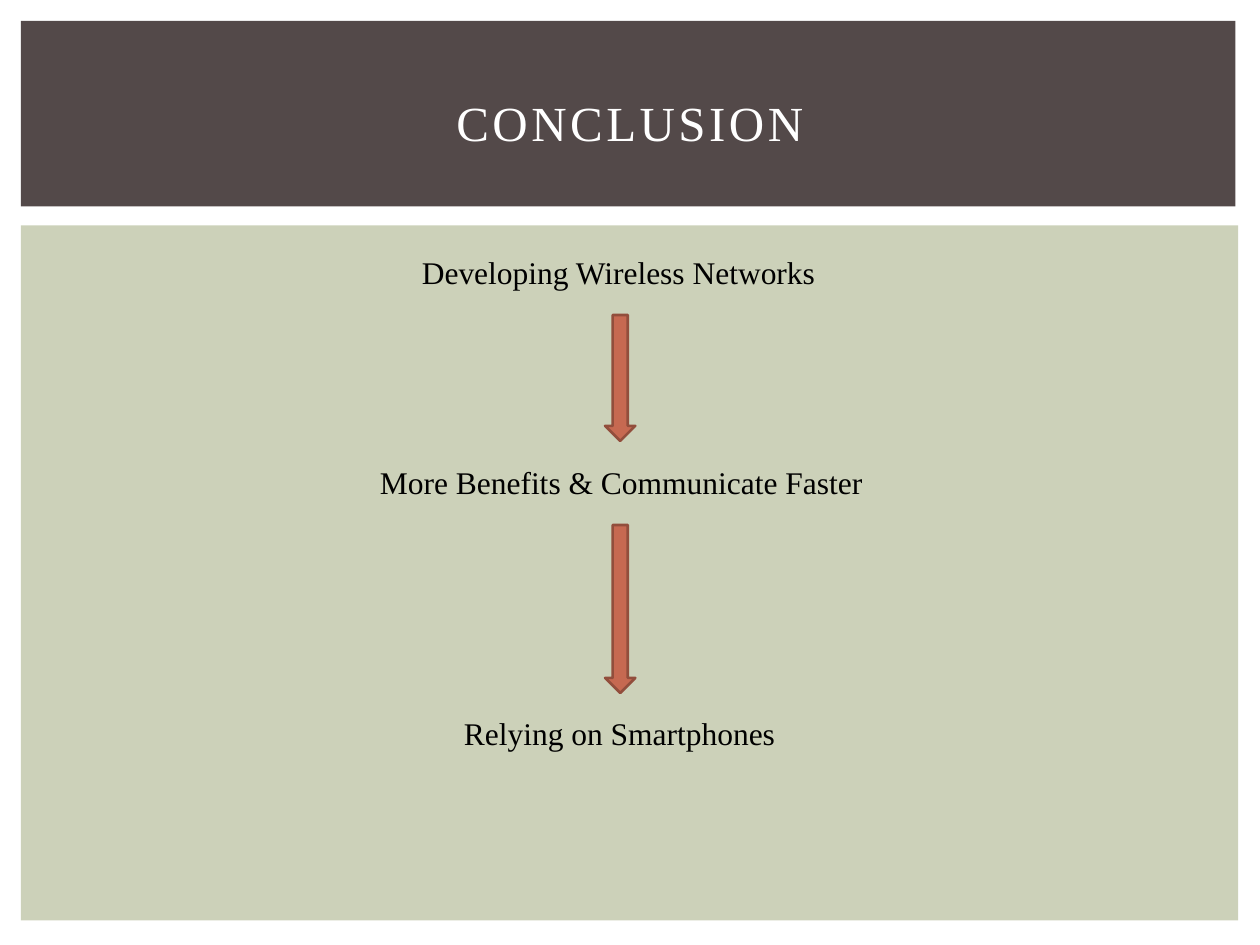
from dataclasses import dataclass

from pptx import Presentation
from pptx.dml.color import RGBColor
from pptx.enum import shapes, text
from pptx.util import Pt


@dataclass(frozen=True)
class Theme:
    font: str = "Times New Roman"
    title_size: int = 28
    step_size: int = 18
    banner: RGBColor = RGBColor(0x53, 0x49, 0x49)
    panel: RGBColor = RGBColor(0xCC, 0xD1, 0xB9)
    arrow: RGBColor = RGBColor(0xC6, 0x69, 0x51)
    arrow_edge: RGBColor = RGBColor(0x92, 0x4E, 0x3C)
    title_ink: RGBColor = RGBColor(0xFF, 0xFF, 0xFF)
    step_ink: RGBColor = RGBColor(0, 0, 0)


THEME = Theme()
ARROW_CENTER = 354.4
ARROW_WIDTH = 17.28


def add_run(paragraph, words, size, color):
    run = paragraph.add_run()
    run.text = words
    run.font.name = THEME.font
    run.font.size = Pt(size)
    run.font.color.rgb = color
    return run


def add_filled(slide, preset, left, top, width, height, color):
    block = slide.shapes.add_shape(
        preset, Pt(left), Pt(top), Pt(width), Pt(height))
    block.shadow.inherit = False
    block.fill.solid()
    block.fill.fore_color.rgb = color
    block.line.fill.background()
    return block


def set_title(slide, words):
    title = slide.shapes.title
    title.left, title.top = Pt(30), Pt(28)
    title.width, title.height = Pt(660), Pt(83)
    frame = title.text_frame
    frame.vertical_anchor = text.MSO_ANCHOR.MIDDLE
    heading = frame.paragraphs[0]
    heading.alignment = text.PP_ALIGN.CENTER
    run = add_run(heading, words, THEME.title_size, THEME.title_ink)
    run.font._element.set("spc", "200")  # letter spacing of 2 pt
    slide.shapes.element.append(title.element)  # bring above the banner


def add_step(slide, words, left, top, width):
    step = slide.shapes.add_textbox(Pt(left), Pt(top), Pt(width), Pt(29))
    frame = step.text_frame
    frame.word_wrap = True
    frame.auto_size = text.MSO_AUTO_SIZE.SHAPE_TO_FIT_TEXT
    add_run(frame.paragraphs[0], words, THEME.step_size, THEME.step_ink)


def add_down_arrow(slide, top, length):
    # A right arrow turned by 90 degrees around its centre
    arrow = add_filled(
        slide, shapes.MSO_SHAPE.RIGHT_ARROW,
        ARROW_CENTER - length / 2, top + (length - ARROW_WIDTH) / 2,
        length, ARROW_WIDTH, THEME.arrow)
    arrow.rotation = 90
    arrow.line.color.rgb = THEME.arrow_edge
    arrow.line.width = Pt(1.5)


def main():
    prs = Presentation()
    prs.slide_width, prs.slide_height = Pt(720), Pt(540)
    slide = prs.slides.add_slide(prs.slide_layouts[5])

    # Background panel and title banner
    rectangle = shapes.MSO_SHAPE.RECTANGLE
    add_filled(slide, rectangle, 12, 128.8, 695.5, 397.2, THEME.panel)
    add_filled(slide, rectangle, 12, 12, 694, 106, THEME.banner)
    set_title(slide, "CONCLUSION")

    # Chain of conclusions
    add_step(slide, "Developing Wireless Networks", 234, 141, 258)
    add_down_arrow(slide, 180, 72)
    add_step(slide, "More Benefits & Communicate Faster", 210, 261, 306)
    add_down_arrow(slide, 300, 96)
    add_step(slide, "Relying on Smartphones", 258, 404.5, 210)

    prs.save("out.pptx")


if __name__ == "__main__":
    main()
